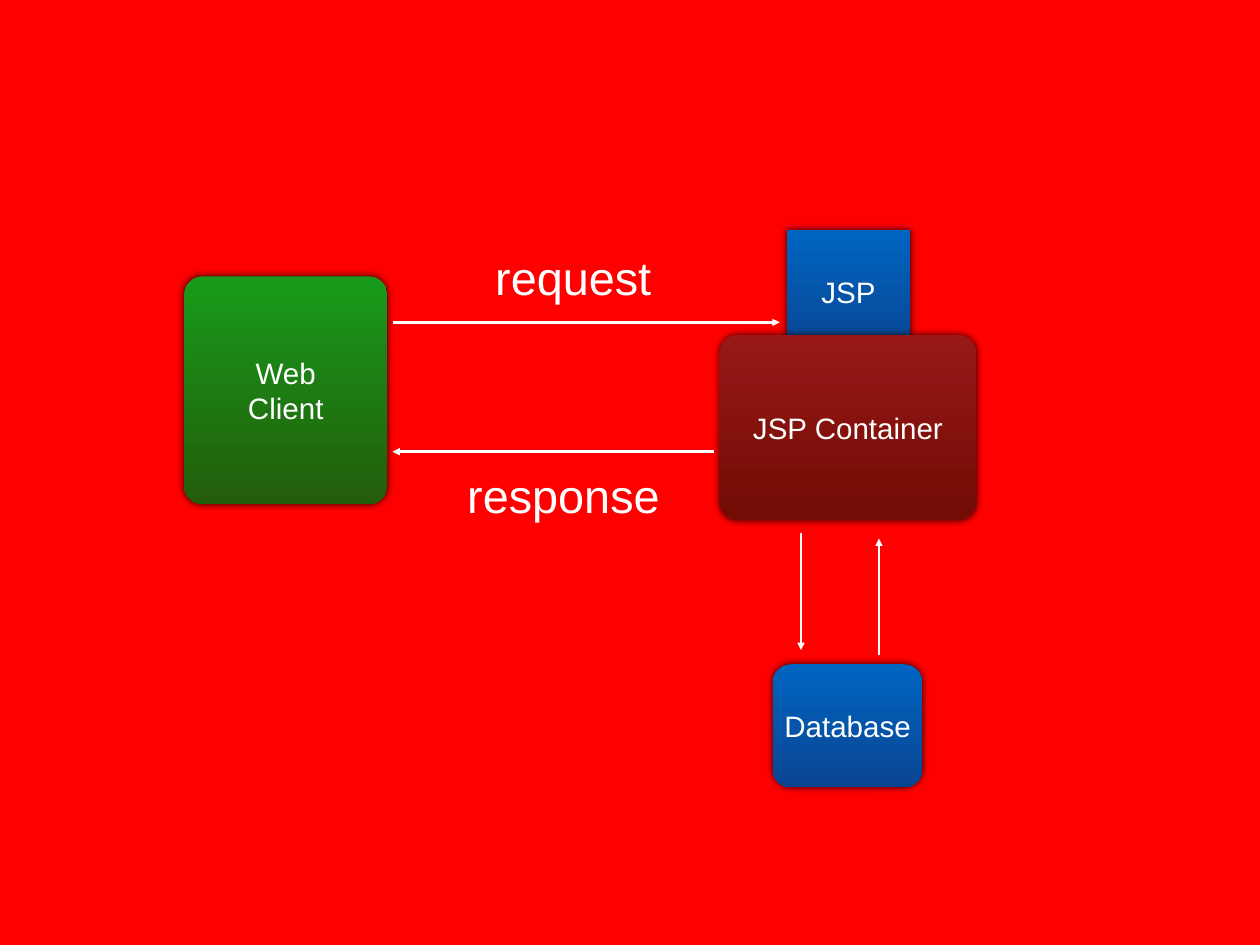
from dataclasses import dataclass

from lxml.etree import SubElement
from pptx import Presentation
from pptx.dml.color import RGBColor
from pptx.enum.shapes import MSO_CONNECTOR as Connector, MSO_SHAPE as ShapeKind
from pptx.enum.text import MSO_ANCHOR as Anchor, MSO_AUTO_SIZE as AutoSize, PP_ALIGN as Align
from pptx.oxml.ns import qn
from pptx.slide import Slide
from pptx.text.text import TextFrame
from pptx.util import Inches, Pt

Gradient = tuple[str, str]


@dataclass(frozen=True)
class Theme:
    font: str = "Arial"
    background: str = "FF0000"
    foreground: str = "FFFFFF"
    shadow: str = "000000"
    green: Gradient = ("189B1A", "235D0B")
    blue: Gradient = ("0065C1", "094593")
    maroon: Gradient = ("971817", "720C04")
    box_size: int = 24
    label_size: int = 38
    line_width: int = 2
    shadow_blur: int = 6
    margin: float = 0.06


@dataclass(frozen=True)
class Box:
    text: str
    left: float
    top: float
    width: float
    height: float
    gradient: Gradient
    corner: float = 0


@dataclass(frozen=True)
class Arrow:
    start: tuple[float, float]
    end: tuple[float, float]


@dataclass(frozen=True)
class Label:
    text: str
    left: float
    top: float
    width: float
    height: float = 0.75


THEME = Theme()

BOXES = [
    Box("Web\nClient", 2.08, 3.12, 2.29, 2.57, THEME.green, 0.09),
    Box("JSP", 8.88, 2.6, 1.39, 1.39, THEME.blue),
    Box("JSP Container", 8.12, 3.78, 2.9, 2.09, THEME.maroon, 0.1),
    Box("Database", 8.72, 7.5, 1.69, 1.39, THEME.blue, 0.15),
]
ARROWS = [
    Arrow((4.44, 3.64), (8.8, 3.64)),
    Arrow((8.06, 5.1), (4.43, 5.1)),
    Arrow((9.04, 6.02), (9.04, 7.34)),
    Arrow((9.92, 7.4), (9.92, 6.08)),
]
LABELS = [
    Label("request", 5.52, 2.75, 1.9),
    Label("response", 5.2, 5.21, 2.32),
]


def color(value: str) -> RGBColor:
    return RGBColor.from_string(value)


def write_text(frame: TextFrame, text: str, size: int, wrap: bool) -> None:
    frame.text = text
    frame.word_wrap = wrap
    frame.vertical_anchor = Anchor.MIDDLE
    frame.margin_left = frame.margin_right = Inches(THEME.margin)
    frame.margin_top = frame.margin_bottom = Inches(THEME.margin)
    for paragraph in frame.paragraphs:
        paragraph.alignment = Align.CENTER
        paragraph.font.name = THEME.font
        paragraph.font.size = Pt(size)
        paragraph.font.color.rgb = color(THEME.foreground)


def draw_box(slide: Slide, box: Box) -> None:
    kind = ShapeKind.ROUNDED_RECTANGLE if box.corner else ShapeKind.RECTANGLE
    shape = slide.shapes.add_shape(
        kind, Inches(box.left), Inches(box.top), Inches(box.width), Inches(box.height)
    )
    if box.corner:
        shape.adjustments[0] = box.corner
    shape.fill.gradient()
    shape.fill.gradient_angle = 270
    for stop, value in zip(shape.fill.gradient_stops, box.gradient):
        stop.color.rgb = color(value)
    shape.line.fill.background()
    shape.shadow.inherit = False
    effects = shape._element.spPr.find(qn("a:effectLst"))
    shadow = SubElement(
        effects, qn("a:outerShdw"),
        blurRad=str(Pt(THEME.shadow_blur)), dist="0", dir="18900000", rotWithShape="0",
    )
    shade = SubElement(shadow, qn("a:srgbClr"), val=THEME.shadow)
    SubElement(shade, qn("a:alpha"), val="80000")
    write_text(shape.text_frame, box.text, THEME.box_size, wrap=True)


def draw_arrow(slide: Slide, arrow: Arrow) -> None:
    points = [Inches(value) for value in arrow.start + arrow.end]
    connector = slide.shapes.add_connector(Connector.STRAIGHT, *points)
    connector.line.width = Pt(THEME.line_width)
    connector.line.color.rgb = color(THEME.foreground)
    properties = connector._element.spPr
    SubElement(properties.find(qn("a:ln")), qn("a:tailEnd"), type="triangle")
    SubElement(properties, qn("a:effectLst"))


def draw_label(slide: Slide, label: Label) -> None:
    shape = slide.shapes.add_textbox(
        Inches(label.left), Inches(label.top), Inches(label.width), Inches(label.height)
    )
    write_text(shape.text_frame, label.text, THEME.label_size, wrap=False)
    shape.text_frame.auto_size = AutoSize.SHAPE_TO_FIT_TEXT


def main() -> None:
    presentation = Presentation()
    presentation.slide_width = Inches(14.22)
    presentation.slide_height = Inches(10.67)
    slide = presentation.slides.add_slide(presentation.slide_layouts[6])
    slide.background.fill.solid()
    slide.background.fill.fore_color.rgb = color(THEME.background)
    for box in BOXES:
        draw_box(slide, box)
    for arrow in ARROWS:
        draw_arrow(slide, arrow)
    for label in LABELS:
        draw_label(slide, label)
    presentation.save("out.pptx")


if __name__ == "__main__":
    main()
